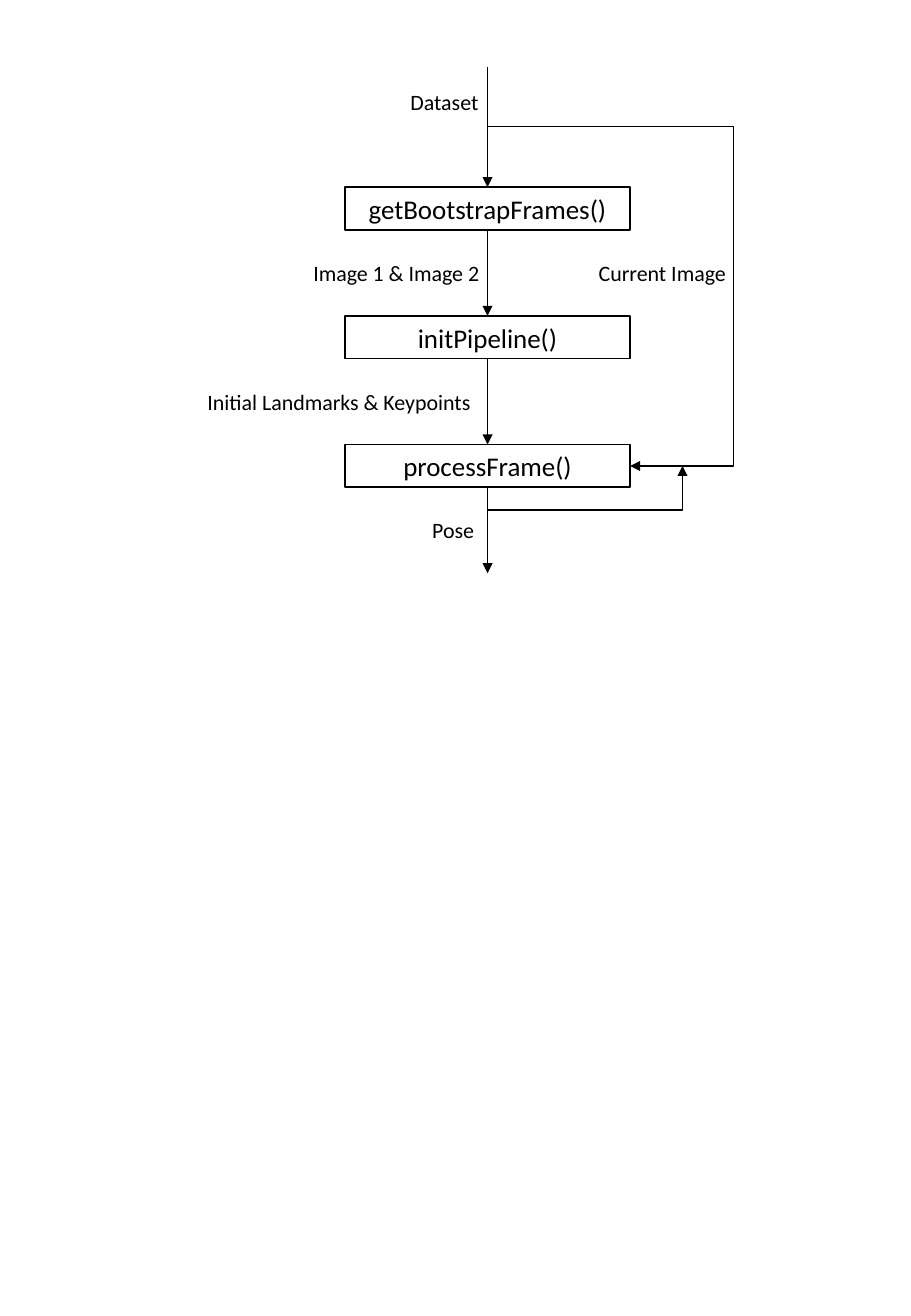
import pptx
import pptx.dml.color
import pptx.enum.shapes
import pptx.enum.text
import pptx.oxml
import pptx.oxml.ns
import pptx.util

Pt = pptx.util.Pt
CONNECTOR = pptx.enum.shapes.MSO_CONNECTOR
ALIGN = pptx.enum.text.PP_ALIGN
ANCHOR = pptx.enum.text.MSO_ANCHOR

STEPS = ["getBootstrapFrames()", "initPipeline()", "processFrame()"]
STEP_LABELS = [
    ("Image 1 & Image 2", 178.6, 114.5),
    ("Initial Landmarks & Keypoints", 115.9, 172.8),
    ("Pose", 249.1, 39.6),
]
DATASET_LABEL = ("Dataset", 236.2, 55.4)
CURRENT_LABEL = ("Current Image", 347.8, 93.6)

INK = "000000"
FONT = "Calibri"
BOX_LEFT, BOX_TOP, BOX_WIDTH, BOX_HEIGHT = 204.5, 110.9, 169, 25.4
PITCH = 76.3
GAP = PITCH - BOX_HEIGHT
CENTER = BOX_LEFT + BOX_WIDTH / 2
BOX_RIGHT = BOX_LEFT + BOX_WIDTH
LABEL_HEIGHT = 23
INPUT_TOP, DATASET_MIDDLE, BRANCH_TOP = 39.6, 60.5, 75
LOOP_RIGHT, FEEDBACK_RIGHT = 435, 404.6


def color(value):
    return pptx.dml.color.RGBColor.from_string(value)


def write(shape, text, size, align, formats):
    frame = shape.text_frame
    for name, value in formats.items():
        setattr(frame, name, value)
    para = frame.paragraphs[0]
    para.alignment = align
    span = para.add_run()
    span.text = text
    for name, value in {"name": FONT, "size": Pt(size)}.items():
        setattr(span.font, name, value)
    span.font.color.rgb = color(INK)


def add_step(page, text, top):
    box = page.shapes.add_shape(
        pptx.enum.shapes.MSO_SHAPE.RECTANGLE,
        Pt(BOX_LEFT), Pt(top), Pt(BOX_WIDTH), Pt(BOX_HEIGHT),
    )
    box.shadow.inherit = False
    box.fill.background()
    box.line.color.rgb = color(INK)
    box.line.width = Pt(1)
    write(box, text, 16, ALIGN.CENTER, {
        "vertical_anchor": ANCHOR.MIDDLE, "word_wrap": True,
        "margin_left": Pt(10), "margin_right": Pt(10),
        "margin_top": Pt(5), "margin_bottom": Pt(5),
    })
    return box


def add_label(page, label, middle):
    text, left, width = label
    box = page.shapes.add_textbox(
        Pt(left), Pt(middle - LABEL_HEIGHT / 2), Pt(width), Pt(LABEL_HEIGHT)
    )
    write(box, text, 13, ALIGN.LEFT, {
        "word_wrap": False,
        "auto_size": pptx.enum.text.MSO_AUTO_SIZE.SHAPE_TO_FIT_TEXT,
    })


def add_arrow(page, start, end, kind=CONNECTOR.STRAIGHT):
    arrow = page.shapes.add_connector(kind, *map(Pt, start + end))
    arrow.line.color.rgb = color(INK)
    arrow.line.width = Pt(0.75)
    qn = pptx.oxml.ns.qn
    properties = arrow.line._get_or_add_ln()
    head = pptx.oxml.parse_xml(
        f'<a:tailEnd {pptx.oxml.ns.nsdecls("a")} type="triangle"/>'
    )
    properties.append(head)
    shape_properties = arrow._element.find(qn("p:spPr"))
    shape_properties.append(
        pptx.oxml.parse_xml(f'<a:effectLst {pptx.oxml.ns.nsdecls("a")}/>')
    )
    return arrow


def add_elbow(page, start, end, bend):
    arrow = add_arrow(page, start, end, CONNECTOR.ELBOW)
    ratio = round((bend - start[0]) / (end[0] - start[0]) * 100000)
    geometry = arrow._element.find(".//" + pptx.oxml.ns.qn("a:prstGeom"))
    values = geometry.get_or_add_avLst()
    values.append(pptx.oxml.parse_xml(
        f'<a:gd {pptx.oxml.ns.nsdecls("a")} name="adj1" fmla="val {ratio}"/>'
    ))


def main():
    deck = pptx.Presentation()
    deck.slide_width, deck.slide_height = Pt(540), Pt(780)
    page = deck.slides.add_slide(deck.slide_layouts[6])

    tops = [BOX_TOP + PITCH * index for index in range(len(STEPS))]
    boxes = [add_step(page, text, top) for text, top in zip(STEPS, tops)]

    entry = add_arrow(page, (CENTER, INPUT_TOP), (CENTER, BOX_TOP))
    entry.end_connect(boxes[0], 0)
    add_label(page, DATASET_LABEL, DATASET_MIDDLE)

    for index, (top, label) in enumerate(zip(tops, STEP_LABELS)):
        bottom = top + BOX_HEIGHT
        arrow = add_arrow(page, (CENTER, bottom), (CENTER, bottom + GAP))
        arrow.begin_connect(boxes[index], 2)
        if index + 1 < len(boxes):
            arrow.end_connect(boxes[index + 1], 0)
        add_label(page, label, bottom + GAP / 2)

    process_middle = tops[-1] + BOX_HEIGHT / 2
    add_elbow(page, (CENTER, BRANCH_TOP), (BOX_RIGHT, process_middle), LOOP_RIGHT)
    add_label(page, CURRENT_LABEL, BOX_TOP + BOX_HEIGHT + GAP / 2)

    feedback_top = process_middle + BOX_HEIGHT + 0.8
    add_elbow(page, (CENTER, feedback_top), (FEEDBACK_RIGHT, process_middle), FEEDBACK_RIGHT)

    deck.save("out.pptx")


if __name__ == "__main__":
    main()
